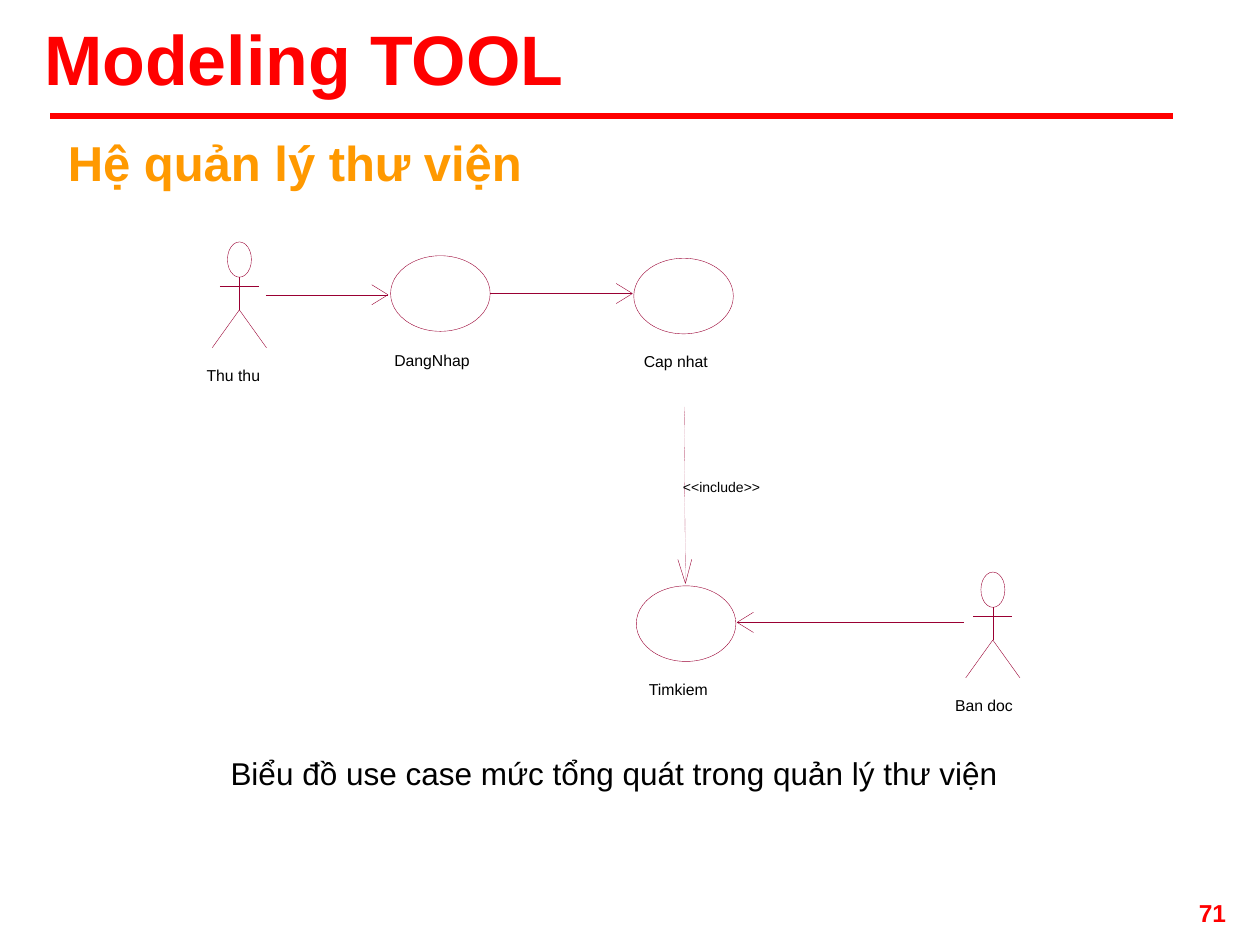
from lxml import etree
from pptx import Presentation
from pptx import util as u
from pptx.dml.color import RGBColor
from pptx.enum import dml, shapes, text
from pptx.oxml import ns

RED, ORANGE, BLACK, MAROON = "FF0000", "FF9900", "000000", "9A0033"


def outline(shape, color=MAROON, width=0.23):
    """Give a shape or connector a plain line, without fill or shadow."""
    shape.line.color.rgb = RGBColor.from_string(color)
    shape.line.width = u.Pt(width)
    if hasattr(shape, "fill"):
        shape.fill.background()
        shape.shadow.inherit = False
    else:
        etree.SubElement(shape.element.spPr, ns.qn("a:effectLst"))


def write(box, words, size, color=BLACK, bold=False, wrap=True, margins=(0, 0)):
    """Fill a text frame with one formatted line and return its paragraph."""
    frame = box.text_frame
    frame.text = words
    frame.word_wrap = wrap
    frame.auto_size = text.MSO_AUTO_SIZE.NONE
    frame.margin_left = frame.margin_right = u.Inches(margins[0])
    frame.margin_top = frame.margin_bottom = u.Inches(margins[1])
    para = frame.paragraphs[0]
    font = para.runs[0].font
    font.name, font.size, font.bold = "Arial", u.Pt(size), bold
    font.color.rgb = RGBColor.from_string(color)
    return para


deck = Presentation()
deck.slide_width, deck.slide_height = u.Inches(10), u.Inches(7.5)
page = deck.slides.add_slide(deck.slide_layouts[5])
items = page.shapes

# Heading, rule, subtitle and page number
title = items.title
title.left, title.top, title.width, title.height = map(u.Inches, (0.25, 0.07, 9.08, 0.77))
write(title, "Modeling TOOL", 40, RED, True, margins=(0.1, 0.05)).alignment = text.PP_ALIGN.LEFT
title.text_frame.vertical_anchor = text.MSO_ANCHOR.BOTTOM

rule = items.add_connector(shapes.MSO_CONNECTOR.STRAIGHT, *map(u.Inches, (0.4, 0.92, 9.31, 0.92)))
outline(rule, RED, 3)

subtitle = items.add_textbox(*map(u.Inches, (0.44, 1, 3.91, 0.57)))
write(subtitle, "Hệ quản lý thư viện", 28, ORANGE, True, wrap=False, margins=(0.1, 0.05))

number = items.add_textbox(*map(u.Inches, (7.5, 7.08, 2.33, 0.33)))
write(number, "71", 14, RED, True, margins=(0.1, 0.05)).alignment = text.PP_ALIGN.RIGHT

# Actors: centre x and top of the head
for x, y in [(7.88, 4.54), (1.9, 1.92)]:
    head = items.add_shape(shapes.MSO_SHAPE.OVAL, *map(u.Inches, (x - 0.095, y, 0.19, 0.28)))
    outline(head)
    for limb in [(x, y + 0.28, x, y + 0.54), (x - 0.155, y + 0.35, x + 0.155, y + 0.35)]:
        outline(items.add_connector(shapes.MSO_CONNECTOR.STRAIGHT, *map(u.Inches, limb)))
    legs = items.build_freeform(u.Inches(x - 0.215), u.Inches(y + 0.84))
    legs.add_line_segments(
        [(u.Inches(x), u.Inches(y + 0.54)), (u.Inches(x + 0.215), u.Inches(y + 0.84))], close=False)
    outline(legs.convert_to_shape())

# Use cases: left and top
for x, y in [(5.03, 2.05), (3.1, 2.03), (5.05, 4.65)]:
    outline(items.add_shape(shapes.MSO_SHAPE.OVAL, *map(u.Inches, (x, y, 0.79, 0.6))))

# Arrows: start, tip, the two barb ends measured from the tip, dashed
arrows = [
    ((2.11, 2.34), (3.08, 2.34), [(-0.13, 0.08), (-0.13, -0.08)], False),
    ((3.89, 2.33), (5.02, 2.33), [(-0.13, 0.08), (-0.13, -0.08)], False),
    ((7.65, 4.94), (5.85, 4.94), [(0.13, 0.08), (0.13, -0.08)], False),
    ((5.43, 3.23), (5.44, 4.63), [(0.05, -0.19), (-0.06, -0.19)], True),
]
for start, tip, barbs, dashed in arrows:
    shaft = items.add_connector(shapes.MSO_CONNECTOR.STRAIGHT, *map(u.Inches, start + tip))
    outline(shaft, width=0.06 if dashed else 0.23)
    if dashed:
        shaft.line.dash_style = dml.MSO_LINE.LONG_DASH
    first, last = [(u.Inches(tip[0] + dx), u.Inches(tip[1] + dy)) for dx, dy in barbs]
    point = items.build_freeform(*first)
    point.add_line_segments([tuple(map(u.Inches, tip)), last], close=False)
    outline(point.convert_to_shape())

# Labels and caption
labels = [
    ("DangNhap", 3.13, 2.81, 0.73, 0.27, 9, 0.81),
    ("Cap nhat", 5.11, 2.82, 0.63, 0.27, 9, 0.81),
    ("Thu thu", 1.64, 2.93, 0.54, 0.27, 9, 0.81),
    ("<<include>>", 5.42, 3.8, 0.82, 0.26, 8, 1.0),
    ("Timkiem", 5.15, 5.42, 0.6, 0.27, 9, 0.81),
    ("Ban doc", 7.58, 5.55, 0.58, 0.27, 9, 0.81),
    ("Biểu đồ use case mức tổng quát trong quản lý thư viện", 1.83, 6, 6.33, 0.41, 18, 0.98),
]
for words, x, y, width, height, size, spacing in labels:
    label = items.add_textbox(*map(u.Inches, (x, y, width, height)))
    write(label, words, size).line_spacing = spacing

deck.save("out.pptx")
